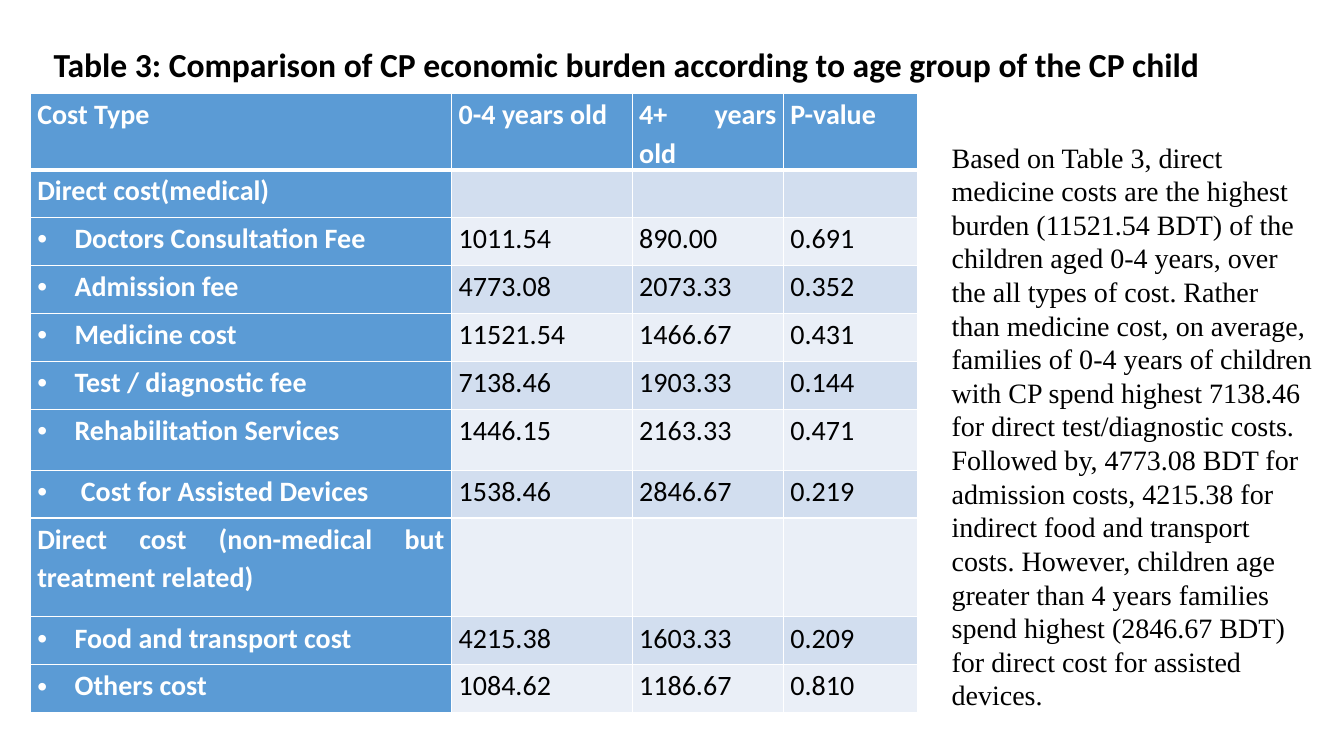
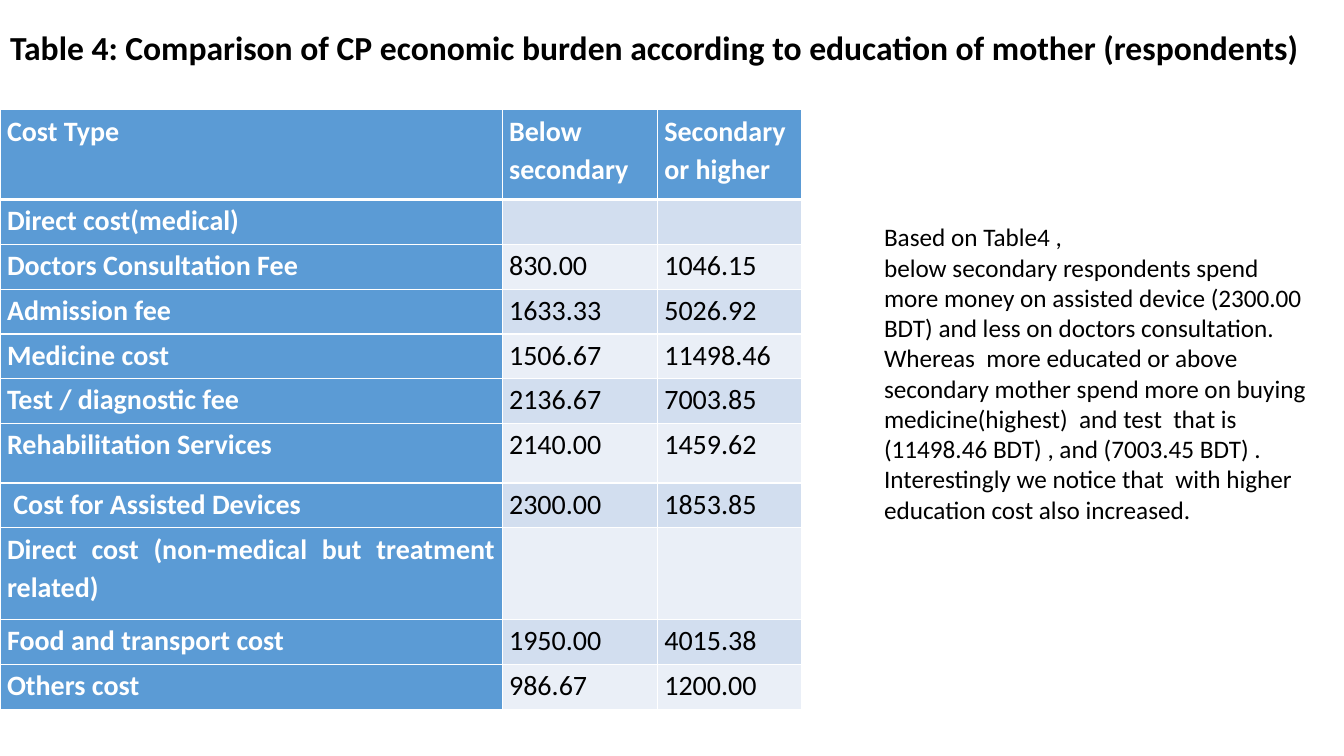
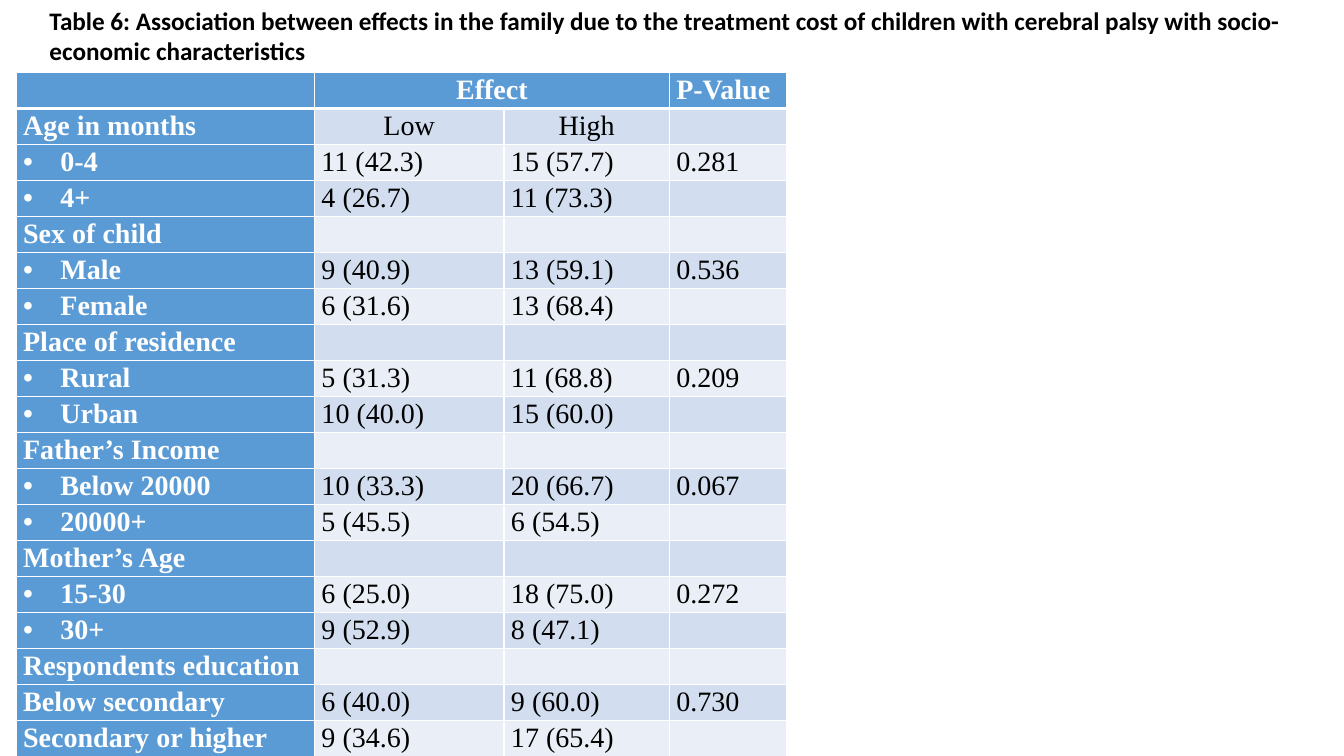
from dataclasses import dataclass
from typing import NamedTuple

from lxml import etree
from pptx import Presentation
from pptx.dml.color import RGBColor
from pptx.enum.text import MSO_ANCHOR, MSO_AUTO_SIZE, PP_ALIGN
from pptx.oxml.ns import qn
from pptx.util import Inches, Pt

LEFT, CENTER, JUSTIFY = PP_ALIGN.LEFT, PP_ALIGN.CENTER, PP_ALIGN.JUSTIFY
TOP = MSO_ANCHOR.TOP
FIT_SHAPE = MSO_AUTO_SIZE.SHAPE_TO_FIT_TEXT

WHITE = RGBColor(0xFF, 0xFF, 0xFF)
BLACK = RGBColor(0x00, 0x00, 0x00)
HEAD_BLUE = RGBColor(0x5B, 0x9B, 0xD5)
BANDS = (RGBColor(0xEA, 0xEF, 0xF7), RGBColor(0xD2, 0xDE, 0xEF))

SANS, SERIF = "Calibri", "Times New Roman"
SLIDE_W, SLIDE_H = Inches(13.33), Inches(7.5)
CELL_MARGIN = Inches(0.07)
BULLET_INDENT = Inches(0.37)


class Box(NamedTuple):
    """Position and size in percent of the slide."""
    left: float
    top: float
    width: float
    height: float


class Row(NamedTuple):
    label: str
    values: tuple[str, ...] = ()
    bullet: bool = False
    height: float = 0
    align: PP_ALIGN = JUSTIFY


@dataclass
class DataTable:
    """Widths and heights are in percent of the slide."""
    left: float
    top: float
    columns: tuple[float, ...]
    row_height: float
    rows: list[Row]
    font: str = SANS
    line_spacing: float = 1.13
    space_after: float = 13.8
    merged_header: tuple[int, int] | None = None


@dataclass
class Note:
    box: Box
    paragraphs: tuple[str, ...]
    font: str
    size: int


@dataclass
class TableSlide:
    title: str
    title_box: Box
    title_size: int
    table: DataTable
    note: Note | None = None


def across(percent: float) -> int:
    return round(SLIDE_W * percent / 100)


def down(percent: float) -> int:
    return round(SLIDE_H * percent / 100)


def put_text(paragraph, text: str, *, font: str, size: int, color: RGBColor = BLACK,
             bold: bool = False, align: PP_ALIGN = LEFT, line_spacing: float = 1,
             space_after: float = 0, bullet: bool = False) -> None:
    paragraph.alignment = align
    paragraph.line_spacing = line_spacing
    paragraph.space_before = Pt(0)
    paragraph.space_after = Pt(space_after)
    if bullet:
        properties = paragraph._p.get_or_add_pPr()
        properties.set("marL", str(BULLET_INDENT))
        properties.set("indent", str(-BULLET_INDENT))
        etree.SubElement(properties, qn("a:buFont"), typeface="Arial")
        etree.SubElement(properties, qn("a:buChar"), char="•")
    if not text:
        end = etree.SubElement(paragraph._p, qn("a:endParaRPr"), sz=str(size * 100))
        etree.SubElement(end, qn("a:latin"), typeface=font)
        return
    run = paragraph.add_run()
    run.text = text
    run.font.name, run.font.size = font, Pt(size)
    run.font.bold, run.font.color.rgb = bold, color


def set_borders(cell, row_index: int) -> None:
    """White rules, with a thicker one under the header row."""
    top = 3 if row_index == 1 else 1
    bottom = 3 if row_index == 0 else 1
    properties = cell._tc.get_or_add_tcPr()
    for place, (side, points) in enumerate(
            (("lnL", 1), ("lnR", 1), ("lnT", top), ("lnB", bottom))):
        line = etree.Element(qn(f"a:{side}"), w=str(Pt(points)))
        fill = etree.SubElement(line, qn("a:solidFill"))
        etree.SubElement(fill, qn("a:srgbClr"), val=str(WHITE))
        properties.insert(place, line)


def add_data_table(slide, data: DataTable) -> None:
    heights = [down(row.height or data.row_height) for row in data.rows]
    widths = [across(width) for width in data.columns]
    table = slide.shapes.add_table(
        len(heights), len(widths), across(data.left), down(data.top),
        sum(widths), sum(heights)).table
    table.first_col = True
    for column, width in zip(table.columns, widths):
        column.width = width
    for r, row in enumerate(data.rows):
        table.rows[r].height = heights[r]
        texts = (row.label, *row.values)
        for c in range(len(widths)):
            cell = table.cell(r, c)
            heading = r == 0 or c == 0
            cell.margin_left = cell.margin_right = CELL_MARGIN
            cell.margin_top = cell.margin_bottom = 0
            cell.vertical_anchor = TOP
            cell.fill.solid()
            cell.fill.fore_color.rgb = HEAD_BLUE if heading else BANDS[r % 2]
            set_borders(cell, r)
            put_text(cell.text_frame.paragraphs[0], texts[c] if c < len(texts) else "",
                     font=data.font, size=20, color=WHITE if heading else BLACK,
                     bold=heading, align=row.align if c in (1, 2) else JUSTIFY,
                     line_spacing=data.line_spacing, space_after=data.space_after,
                     bullet=row.bullet and c == 0)
    if data.merged_header:
        first, last = data.merged_header
        table.cell(0, first).merge(table.cell(0, last))


def place(shape, box: Box) -> None:
    shape.left, shape.top = across(box.left), down(box.top)
    shape.width, shape.height = across(box.width), down(box.height)


def add_note(slide, note: Note) -> None:
    shape = slide.shapes.add_textbox(0, 0, 0, 0)
    place(shape, note.box)
    frame = shape.text_frame
    frame.word_wrap, frame.auto_size = True, FIT_SHAPE
    for index, text in enumerate(note.paragraphs):
        paragraph = frame.add_paragraph() if index else frame.paragraphs[0]
        put_text(paragraph, text, font=note.font, size=note.size)


def add_table_slide(deck, content: TableSlide) -> None:
    slide = deck.slides.add_slide(deck.slide_layouts[5])
    title = slide.shapes.title
    place(title, content.title_box)
    frame = title.text_frame
    frame.word_wrap, frame.auto_size, frame.vertical_anchor = True, FIT_SHAPE, TOP
    put_text(frame.paragraphs[0], content.title, font=SANS,
             size=content.title_size, bold=True)
    add_data_table(slide, content.table)
    if content.note:
        add_note(slide, content.note)


COST_LABELS = (
    "Direct cost(medical)", "Doctors Consultation Fee", "Admission fee",
    "Medicine cost", "Test / diagnostic fee", "Rehabilitation Services",
    " Cost for Assisted Devices", "Direct cost (non-medical but treatment related)",
    "Food and transport cost", "Others cost",
)


def cost_rows(header: Row, values: list[tuple[str, ...]], bullets: bool,
              tall: dict[str, float]) -> list[Row]:
    """Joins the cost labels with their values; labels without values are group heads."""
    return [header] + [
        Row(label, figures, bullets and bool(figures), tall.get(label, 0))
        for label, figures in zip(COST_LABELS, values)]


def item(label: str, low: str, high: str, p_value: str = "", bullet: bool = True) -> Row:
    return Row(label, (low, high, p_value), bullet)


AGE_COSTS = cost_rows(
    Row("Cost Type", ("0-4 years old", "4+ years old", "P-value"), height=9.87),
    [
        (),
        ("1011.54", "890.00", "0.691"),
        ("4773.08", "2073.33", "0.352"),
        ("11521.54", "1466.67", "0.431"),
        ("7138.46", "1903.33", "0.144"),
        ("1446.15", "2163.33", "0.471"),
        ("1538.46", "2846.67", "0.219"),
        (),
        ("4215.38", "1603.33", "0.209"),
        ("1084.62", "1186.67", "0.810"),
    ],
    bullets=True, tall={COST_LABELS[5]: 8, COST_LABELS[7]: 13.07})

EDUCATION_COSTS = cost_rows(
    Row("Cost Type", ("Below secondary", "Secondary or higher"), height=11.87),
    [
        (),
        ("830.00", "1046.15"),
        ("1633.33", "5026.92"),
        ("1506.67", "11498.46"),
        ("2136.67", "7003.85"),
        ("2140.00", "1459.62"),
        ("2300.00", "1853.85"),
        (),
        ("1950.00", "4015.38"),
        ("986.67", "1200.00"),
    ],
    bullets=False, tall={COST_LABELS[5]: 7.87, COST_LABELS[7]: 12.13})

FAMILY_EFFECTS = [
    Row("", ("Effect", "", "P-Value"), align=CENTER),
    Row("Age in months", ("Low", "High"), align=CENTER),
    item("0-4", "11 (42.3)", "15 (57.7)", "0.281"),
    item("4+", "4 (26.7)", "11 (73.3)"),
    Row("Sex of child"),
    item("Male", "9 (40.9)", "13 (59.1)", "0.536"),
    item("Female", "6 (31.6)", "13 (68.4)"),
    Row("Place of residence"),
    item("Rural", "5 (31.3)", "11 (68.8)", "0.209"),
    item("Urban", "10 (40.0)", "15 (60.0)"),
    Row("Father’s Income"),
    item("Below 20000", "10 (33.3)", "20 (66.7)", "0.067"),
    item("20000+", "5 (45.5)", "6 (54.5)"),
    Row("Mother’s Age"),
    item("15-30", "6 (25.0)", "18 (75.0)", "0.272"),
    item("30+", "9 (52.9)", "8 (47.1)"),
    Row("Respondents education"),
    item("Below secondary", "6 (40.0)", "9 (60.0)", "0.730", bullet=False),
    item("Secondary or higher", "9 (34.6)", "17 (65.4)", bullet=False),
]

SLIDES = (
    TableSlide(
        "Table 3: Comparison of CP economic burden according to age group of the CP child",
        Box(3.23, 5.2, 92.5, 6.67), 24,
        DataTable(2.25, 12.4, (31.36, 13.43, 11.25, 9.98), 6.35, AGE_COSTS),
        Note(Box(70.07, 17.87, 28.36, 77.6), (
            "Based on Table 3, direct medicine costs are the highest burden (11521.54 BDT) "
            "of the children aged 0-4 years, over the all types of cost. Rather than "
            "medicine cost, on average, families of 0-4 years of children with CP spend "
            "highest 7138.46 for direct test/diagnostic costs. Followed by, 4773.08 BDT for "
            "admission costs, 4215.38 for indirect food and transport costs. However, "
            "children age greater than 4 years families spend highest (2846.67 BDT) for "
            "direct cost for assisted devices.",), SERIF, 20)),
    TableSlide(
        "Table 4: Comparison of CP economic burden according to education of mother "
        "(respondents)",
        Box(0, 2.93, 98.2, 6.67), 24,
        DataTable(0, 14.53, (37.36, 11.55, 10.73), 5.93, EDUCATION_COSTS),
        Note(Box(65.04, 28.67, 33.16, 45.73), (
            "Based on Table4 ,",
            "below secondary respondents spend more money on assisted device (2300.00 BDT) "
            "and less on doctors consultation. Whereas  more educated or above secondary "
            "mother spend more on buying medicine(highest)  and test  that is "
            "(11498.46 BDT) , and (7003.45 BDT) . Interestingly we notice that  with higher "
            "education cost also increased."), SANS, 18)),
    TableSlide(
        "Table 6: Association between effects in the family due to the treatment cost of "
        "children with cerebral palsy with socio-economic characteristics",
        Box(2.93, 0, 96.32, 9.47), 18,
        DataTable(1.2, 9.6, (22.2, 14.1, 12.3, 8.7), 4.76, FAMILY_EFFECTS, font=SERIF,
                  line_spacing=1.07, space_after=0, merged_header=(1, 2))),
)


def main() -> None:
    deck = Presentation()
    deck.slide_width, deck.slide_height = SLIDE_W, SLIDE_H
    for content in SLIDES:
        add_table_slide(deck, content)
    deck.save("out.pptx")


if __name__ == "__main__":
    main()
